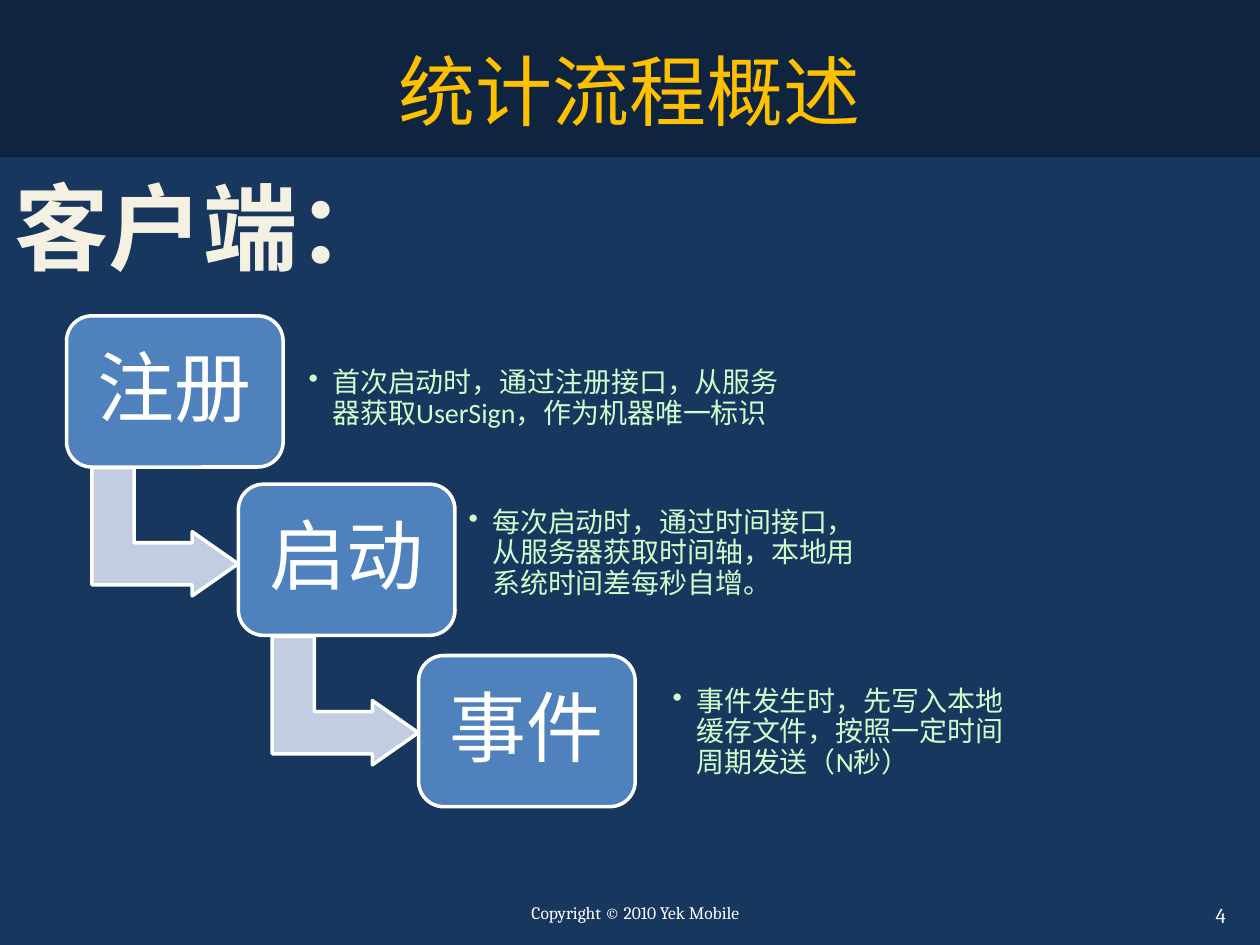
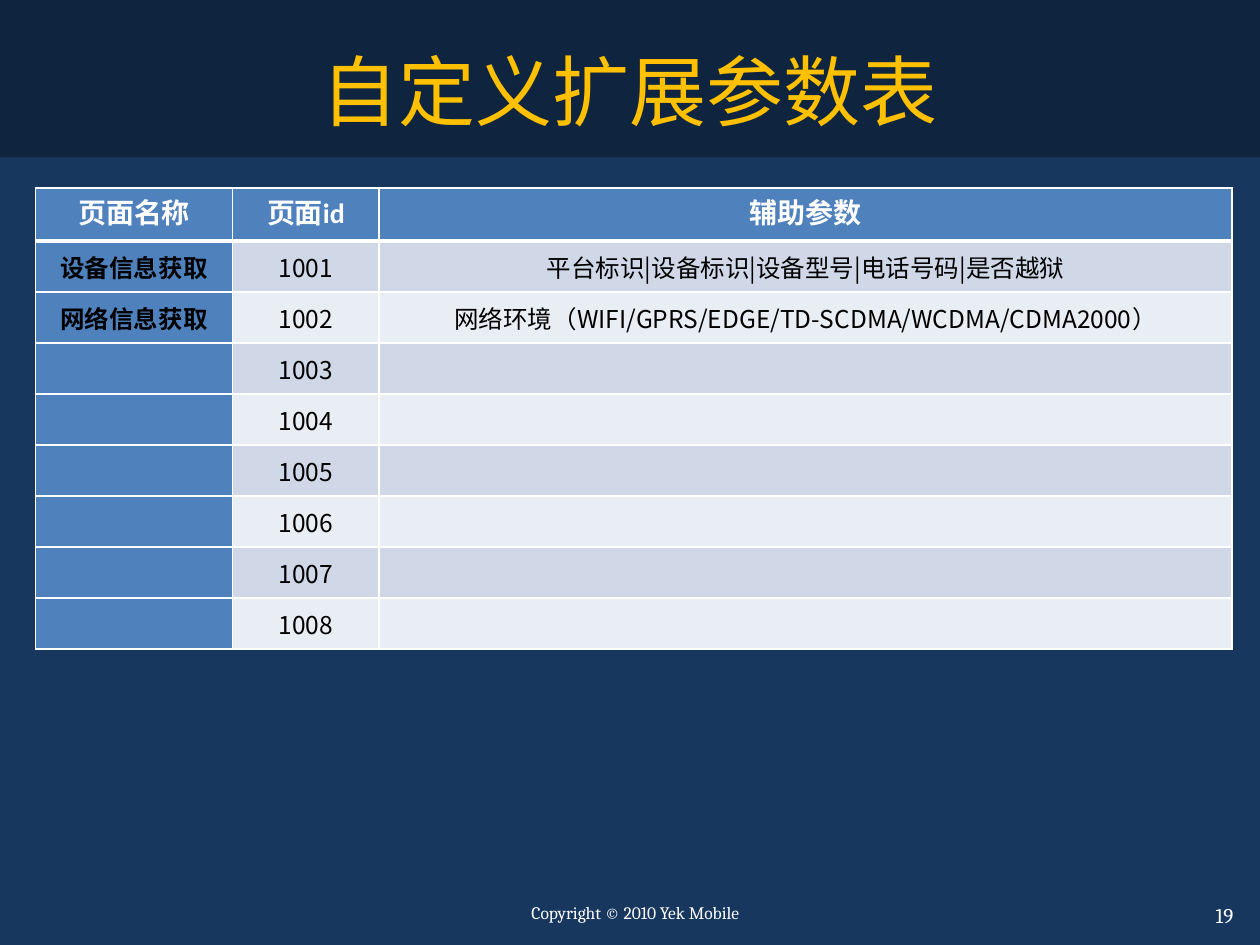
from dataclasses import dataclass

from lxml.etree import SubElement
from pptx import Presentation
from pptx.dml.color import RGBColor
from pptx.enum.shapes import MSO_SHAPE
from pptx.enum.text import MSO_ANCHOR, PP_ALIGN
from pptx.oxml.ns import qn
from pptx.util import Pt


@dataclass(frozen=True)
class Theme:
    # Colours
    background: str = "17375E"
    band: str = "0F243E"
    title: str = "FFC000"
    heading: str = "F4F1E3"
    heading_edge: str = "054697"
    note: str = "CCFFCC"
    accent: str = "4F81BD"
    arrow: str = "C2CDE1"
    white: str = "FFFFFF"
    black: str = "000000"
    stripes: tuple = ("D0D8E8", "E9EDF4")
    # Fonts
    main_font: str = "Calibri"
    footer_font: str = "Cambria"
    table_font: str = "Noto Sans CJK SC"
    # Type sizes
    heading_size: int = 54
    title_size: int = 44
    note_size: int = 16
    cell_size: int = 14
    number_size: int = 12
    footer_size: int = 10


THEME = Theme()
WIDTH, HEIGHT = 720, 540
MARGINS = ("margin_left", "margin_top", "margin_right", "margin_bottom")


def apply(target, values):
    for name, value in values.items():
        setattr(target, name, value)


def add_solid(parent, color):
    fill = SubElement(parent, qn("a:solidFill"))
    SubElement(fill, qn("a:srgbClr"), val=color)


def fill_solid(fill, color):
    fill.solid()
    fill.fore_color.rgb = RGBColor.from_string(color)


class Deck:
    def __init__(self, theme):
        self.theme = theme
        self.presentation = Presentation()
        apply(self.presentation, {"slide_width": Pt(WIDTH), "slide_height": Pt(HEIGHT)})
        self.slide = None

    # Slide with the shared band, title and footer
    def start_slide(self, title, number):
        theme = self.theme
        self.slide = self.presentation.slides.add_slide(self.presentation.slide_layouts[6])
        fill_solid(self.slide.background.fill, theme.background)
        self.shape(MSO_SHAPE.RECTANGLE, (0, 0, WIDTH, 90), theme.band)
        self.text((289.5, 512, 147, 19.4), "Copyright © 2010 Yek Mobile", theme.footer_size,
                  theme.white, font=theme.footer_font, wrap=False)
        self.text((687.6, 512, 32.4, 21.8), number, theme.number_size, theme.white,
                  font=theme.footer_font, wrap=False, align=PP_ALIGN.LEFT)
        self.text((36, 21.6, 648, 90), title, theme.title_size, theme.title)

    def add_words(self, frame, words, size, color, font=None, bold=False,
                  align=PP_ALIGN.CENTER):
        font = font or self.theme.main_font
        paragraph = frame.paragraphs[0]
        paragraph.alignment = align
        run = paragraph.add_run()
        run.text = words
        apply(run.font, {"name": font, "size": Pt(size), "bold": bold})
        run.font.color.rgb = RGBColor.from_string(color)
        SubElement(run._r.get_or_add_rPr(), qn("a:ea"), typeface=font)
        return run

    def shape(self, preset, box, color, edge=None, adjustments=(), rotation=0):
        shape = self.slide.shapes.add_shape(preset, *map(Pt, box))
        shape.shadow.inherit = False
        shape.rotation = rotation
        fill_solid(shape.fill, color)
        if edge:
            fill_solid(shape.line.fill, edge)
            shape.line.width = Pt(2)
        else:
            shape.line.fill.background()
        for index, value in enumerate(adjustments):
            shape.adjustments[index] = value
        return shape

    def text(self, box, words, size, color, wrap=True, **style):
        frame = self.slide.shapes.add_textbox(*map(Pt, box)).text_frame
        frame.word_wrap = wrap
        return self.add_words(frame, words, size, color, **style)

    # Large heading with a thin outline around its letters
    def heading(self, box, words):
        theme = self.theme
        run = self.text(box, words, theme.heading_size, theme.heading, wrap=False, bold=True)
        properties = run._r.get_or_add_rPr()
        outline = SubElement(properties, qn("a:ln"), w=str(Pt(1)))
        add_solid(outline, theme.heading_edge)
        properties.insert(0, outline)

    def step(self, box, words):
        theme = self.theme
        step = self.shape(MSO_SHAPE.ROUNDED_RECTANGLE, box, theme.accent, theme.white, (0.167,))
        frame = step.text_frame
        apply(frame, {"margin_left": Pt(6), "margin_right": Pt(6), "word_wrap": True,
                      "vertical_anchor": MSO_ANCHOR.MIDDLE})
        frame.paragraphs[0].line_spacing = 0.9
        self.add_words(frame, words, theme.title_size, theme.white)

    # Bulleted note beside a step
    def note(self, box, words):
        theme = self.theme
        frame = self.slide.shapes.add_textbox(*map(Pt, box)).text_frame
        apply(frame, dict.fromkeys(MARGINS, Pt(6.4)))
        apply(frame, {"word_wrap": True, "vertical_anchor": MSO_ANCHOR.MIDDLE})
        paragraph = frame.paragraphs[0]
        properties = paragraph._p.get_or_add_pPr()
        properties.set("marL", str(Pt(13.5)))
        properties.set("indent", str(-Pt(13.5)))
        SubElement(properties, qn("a:buChar"), char="•")
        paragraph.line_spacing = 0.9
        self.add_words(frame, words, theme.note_size, theme.note, align=PP_ALIGN.LEFT)

    def cell(self, cell, words, color, style, bottom=1):
        properties = cell._tc.get_or_add_tcPr()
        for side, width in {"lnL": 1, "lnR": 1, "lnT": 1, "lnB": bottom}.items():
            border = SubElement(properties, qn(f"a:{side}"), w=str(Pt(width)))
            add_solid(border, self.theme.white)
        fill_solid(cell.fill, color)
        cell.vertical_anchor = MSO_ANCHOR.MIDDLE
        if words:
            self.add_words(cell.text_frame, words, **style)

    def table(self, corner, widths, header_height, row_height, header, rows):
        theme = self.theme
        height = header_height + row_height * len(rows)
        table = self.slide.shapes.add_table(
            len(rows) + 1, len(widths), *map(Pt, (*corner, sum(widths), height))).table
        apply(table, {"first_row": False, "horz_banding": False})
        for column, width in zip(table.columns, widths):
            column.width = Pt(width)
        for index, row in enumerate(table.rows):
            row.height = Pt(row_height if index else header_height)

        # Header row
        header_style = {"size": theme.note_size, "color": theme.white, "bold": True}
        for column, words in enumerate(header):
            self.cell(table.cell(0, column), words, theme.accent, header_style, bottom=3)

        # Body rows: names in the accent colour, the rest striped
        for index, row in enumerate(rows):
            for column, words in enumerate(row):
                is_name = column == 0
                cell = table.cell(index + 1, column)
                apply(cell, dict.fromkeys(MARGINS, Pt(2.9)))
                self.cell(cell, words, theme.accent if is_name else theme.stripes[index % 2],
                          {"size": theme.cell_size, "color": theme.black,
                           "font": theme.table_font, "bold": is_name},
                          bottom=1)


def build_process(deck):
    theme = deck.theme
    deck.start_slide("统计流程概述", "4")

    # Arrows that lead from one step to the next
    for left, top in ((57.6, 262.1), (160.6, 358.6)):
        deck.shape(MSO_SHAPE.BENT_UP_ARROW, (left, top, 73.4, 83.5), theme.arrow, theme.white,
                   (0.328, 0.25, 0.358), rotation=90)

    # Each step: name, corner, note, left, top and width of the note
    steps = [
        ("注册", (38, 180.5), "首次启动时，通过注册接口，从服务器获取UserSign，作为机器唯一标识",
         (170, 193, 284.4)),
        ("启动", (136.2, 276.7), "每次启动时，通过时间接口，从服务器获取时间轴，本地用系统时间差每秒自增。",
         (261.4, 281.5, 244.8)),
        ("事件", (239.2, 374.6), "事件发生时，先写入本地缓存文件，按照一定时间周期发送（N秒）",
         (378, 383.8, 208.8)),
    ]
    for name, corner, note, note_place in steps:
        deck.step((*corner, 123.8, 86.4), name)
        deck.note((*note_place, 70), note)
    deck.heading((0, 92.9, 232.6, 72.7), "客户端：")


def build_parameters(deck):
    deck.start_slide("自定义扩展参数表", "19")
    details = [
        ("设备信息获取", "平台标识|设备标识|设备型号|电话号码|是否越狱"),
        ("网络信息获取", "网络环境（WIFI/GPRS/EDGE/TD-SCDMA/WCDMA/CDMA2000）"),
    ] + [("", "")] * 6
    rows = [(name, str(page_id), parameters)
            for page_id, (name, parameters) in enumerate(details, 1001)]
    deck.table((20.2, 107.3), (112.8, 83.6, 487.4), 30.4, 29.16,
               ("页面名称", "页面id", "辅助参数"), rows)


def main():
    deck = Deck(THEME)
    build_process(deck)
    build_parameters(deck)
    deck.presentation.save("out.pptx")


if __name__ == "__main__":
    main()
